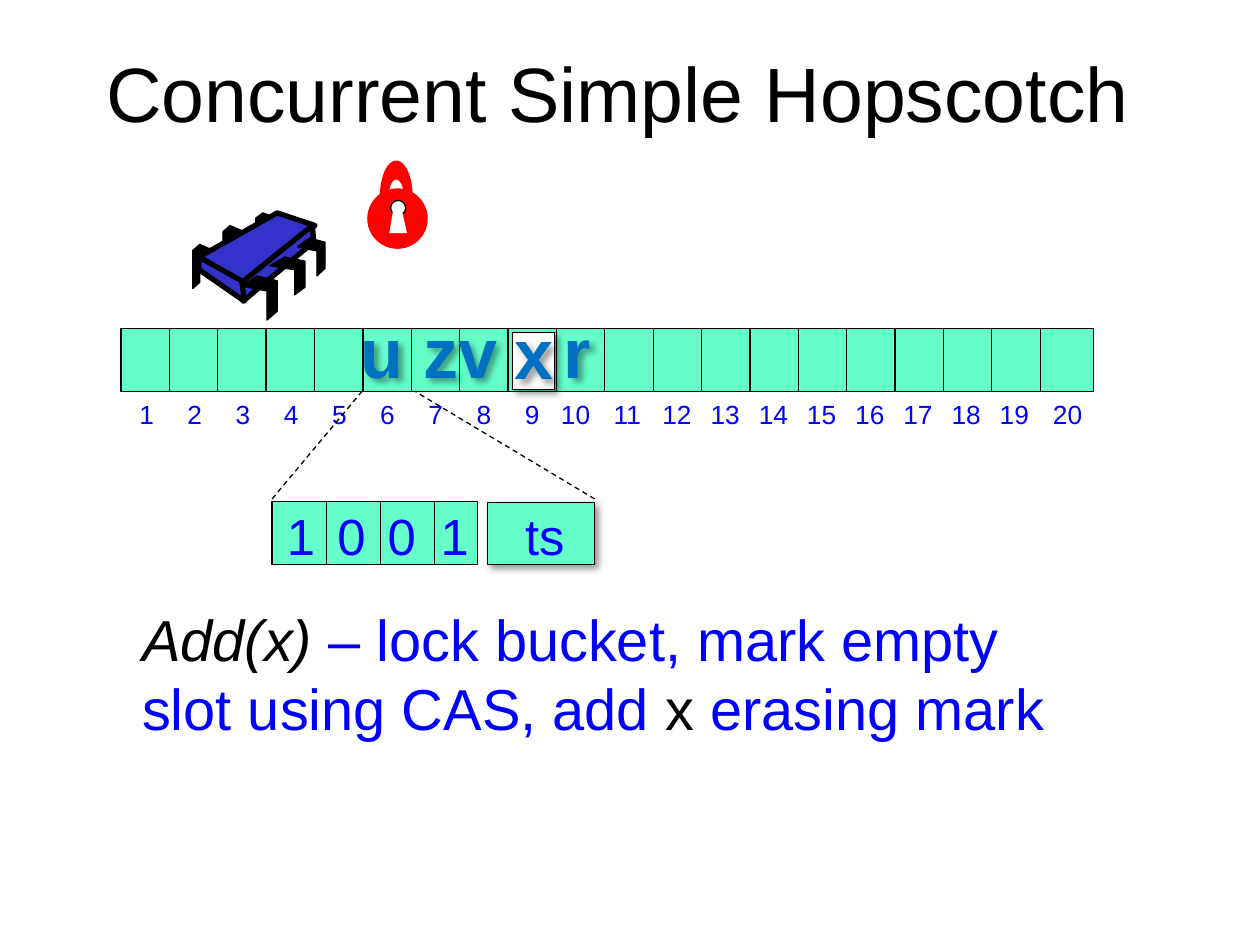
"""Build the Concurrent Simple Hopscotch slide."""
from dataclasses import dataclass
from math import cos, pi, sin

from lxml import etree
from pptx import Presentation
from pptx.dml.color import RGBColor
from pptx.enum.dml import MSO_LINE
from pptx.enum.shapes import MSO_CONNECTOR, MSO_SHAPE
from pptx.enum.text import MSO_ANCHOR, PP_ALIGN
from pptx.oxml.ns import qn
from pptx.util import Inches, Pt

LEFT, CENTER, RIGHT = PP_ALIGN.LEFT, PP_ALIGN.CENTER, PP_ALIGN.RIGHT
TOP, MIDDLE = MSO_ANCHOR.TOP, MSO_ANCHOR.MIDDLE
RECTANGLE, OVAL = MSO_SHAPE.RECTANGLE, MSO_SHAPE.OVAL
STRAIGHT, DASH = MSO_CONNECTOR.STRAIGHT, MSO_LINE.DASH

BLACK = RGBColor(0x00, 0x00, 0x00)
WHITE = RGBColor(0xFF, 0xFF, 0xFF)
RED = RGBColor(0xFF, 0x00, 0x00)
BLUE = RGBColor(0x00, 0x00, 0xFF)
ITEM_BLUE = RGBColor(0x00, 0x70, 0xC0)
CHIP_BLUE = RGBColor(0x33, 0x33, 0xCC)
MINT = RGBColor(0x66, 0xFF, 0xCC)

Point = tuple[float, float]


@dataclass(frozen=True)
class Box:
    left: float
    top: float
    width: float
    height: float

    def emu(self) -> list[int]:
        return [Inches(v) for v in (self.left, self.top, self.width, self.height)]

    def place(self, outline: list[Point]) -> list[Point]:
        return [(self.left + x * self.width, self.top + y * self.height)
                for x, y in outline]


@dataclass(frozen=True)
class Run:
    text: str
    size: float
    color: RGBColor
    bold: bool = False
    italic: bool = False


@dataclass(frozen=True)
class Item:
    letter: str
    box: Box
    wrap: bool = False


TABLE = Box(0.96, 2.61, 7.72, 0.5)
BUCKET_COUNT, BUCKET_PITCH = 20, 0.384
LABEL_PITCH = 0.3825
LABEL_NUDGE = {10: -0.04, 11: -0.02, 20: 0.04}

BITMAP = Box(2.16, 3.98, 1.63, 0.5)
BIT_PITCH = 0.43
BITS = [("1", 2.17), ("0", 2.57), ("0", 2.97), ("1", 3.39)]
TIMESTAMP = Box(3.87, 3.99, 0.85, 0.49)
ZOOM_LINES = [((2.16, 3.96), (2.87, 3.11)), ((4.72, 3.96), (3.3, 3.11))]

ITEMS = [
    Item("z", Box(3.26, 2.4, 0.46, 0.76)),
    Item("r", Box(4.14, 2.4, 0.65, 0.77), True),
    Item("v", Box(3.54, 2.4, 0.5, 0.76)),
    Item("u", Box(2.59, 2.4, 0.71, 0.77), True),
]
ADDED_SLOT = Box(4.07, 2.64, 0.33, 0.45)
ADDED_ITEM = Item("x", Box(3.78, 2.41, 0.71, 0.77), True)

EXPLANATION = [
    Run("Add(x) ", 33, BLACK, italic=True),
    Run("– lock bucket, mark empty slot using CAS, add ", 33, BLUE),
    Run("x ", 33, BLACK),
    Run("erasing mark", 33, BLUE),
]

LOCK_BODY = Box(2.92, 1.5, 0.47, 0.47)
KEYHOLE = Box(3.1, 1.59, 0.12, 0.12)
KEYHOLE_SLOT = [(3.09, 1.85), (3.12, 1.67), (3.19, 1.67), (3.23, 1.85)]
SHACKLE_CENTER = (3.145, 1.56)

BACK_LEG = [(1, 0.14), (0.33, 0), (0, 0.14), (0, 1), (0.33, 0.86), (0.33, 0.29), (1, 0.43)]
FRONT_LEG = [(0.43, 0), (0, 0.23), (0.71, 0.34), (0.71, 1), (1, 0.8), (1, 0.11)]
BACK_LEG_BOXES = [Box(1.53, 1.94, 0.17, 0.35), Box(1.77, 1.79, 0.17, 0.35),
                  Box(2.03, 1.69, 0.17, 0.3)]
FRONT_LEG_BOXES = [Box(1.92, 2.19, 0.28, 0.35), Box(2.14, 2.04, 0.28, 0.3),
                   Box(2.36, 1.89, 0.22, 0.3)]
CHIP_FACES = [
    [(2.2, 1.69), (1.58, 2.04), (1.93, 2.25), (2.5, 1.79)],
    [(2.48, 1.79), (1.92, 2.24), (1.93, 2.39), (2.49, 1.92)],
    [(1.58, 2.04), (1.58, 2.14), (1.94, 2.39), (1.92, 2.23)],
]


def add_shadow(shape) -> None:
    effects = shape._element.spPr.find(qn("a:effectLst"))
    shadow = etree.SubElement(effects, qn("a:outerShdw"), blurRad=str(Pt(4)),
                              dist=str(Pt(3)), dir="2700000", algn="tl", rotWithShape="0")
    color = etree.SubElement(shadow, qn("a:srgbClr"), val=str(BLACK))
    etree.SubElement(color, qn("a:alpha"), val="40000")


def paint(shape, fill: RGBColor, line: RGBColor | None, width: float = 0.75) -> None:
    shape.shadow.inherit = False
    shape.fill.solid()
    shape.fill.fore_color.rgb = fill
    if line is None:
        shape.line.fill.background()
    else:
        shape.line.color.rgb = line
        shape.line.width = Pt(width)


def draw_preset(slide, preset, box: Box, fill: RGBColor, line: RGBColor = BLACK,
                shadow: bool = False) -> None:
    shape = slide.shapes.add_shape(preset, *box.emu())
    paint(shape, fill, line)
    if shadow:
        add_shadow(shape)


def draw_outline(slide, points: list[Point], fill: RGBColor,
                 line: RGBColor | None = BLACK, width: float = 0.75) -> None:
    start, *rest = [(Inches(x), Inches(y)) for x, y in points]
    builder = slide.shapes.build_freeform(*start)
    builder.add_line_segments(rest, close=True)
    paint(builder.convert_to_shape(), fill, line, width)


def draw_line(slide, start: Point, end: Point, dashed: bool = False) -> None:
    line = slide.shapes.add_connector(STRAIGHT, *[Inches(v) for v in (*start, *end)])
    line.line.color.rgb = BLACK
    line.line.width = Pt(0.75)
    if dashed:
        line.line.dash_style = DASH
    etree.SubElement(line._element.spPr, qn("a:effectLst"))


def draw_text(slide, box: Box, runs: list[Run], align=RIGHT, anchor=TOP,
              wrap: bool = False, shadow: bool = False) -> None:
    shape = slide.shapes.add_textbox(*box.emu())
    frame = shape.text_frame
    for name, value in {"word_wrap": wrap, "vertical_anchor": anchor}.items():
        setattr(frame, name, value)
    paragraph = frame.paragraphs[0]
    paragraph.alignment = align
    for part in runs:
        run = paragraph.add_run()
        run.text = part.text
        formats = {"name": "Arial", "size": Pt(part.size),
                   "bold": part.bold, "italic": part.italic}
        for name, value in formats.items():
            setattr(run.font, name, value)
        run.font.color.rgb = part.color
    if shadow:
        shape.shadow.inherit = False
        add_shadow(shape)


def draw_item(slide, item: Item) -> None:
    draw_text(slide, item.box, [Run(item.letter, 40, ITEM_BLUE, bold=True)],
              wrap=item.wrap, shadow=True)


def draw_cells(slide, box: Box, count: int, pitch: float) -> None:
    draw_preset(slide, RECTANGLE, box, MINT)
    for index in range(1, count):
        x = box.left + index * pitch
        draw_line(slide, (x, box.top), (x, box.top + box.height))


def draw_bucket_labels(slide) -> None:
    for number in range(1, BUCKET_COUNT + 1):
        first_left, width = (0.99, 0.33) if number < 10 else (0.94, 0.44)
        left = first_left + (number - 1) * LABEL_PITCH + LABEL_NUDGE.get(number, 0)
        draw_text(slide, Box(left, 3.11, width, 0.35), [Run(str(number), 15, BLUE)])


def arch(radius_x: float, radius_y: float, steps: int = 24) -> list[Point]:
    x, y = SHACKLE_CENTER
    angles = [pi * step / steps for step in range(steps + 1)]
    return [(x - radius_x * cos(a), y - radius_y * sin(a)) for a in angles]


def draw_lock(slide) -> None:
    draw_preset(slide, OVAL, LOCK_BODY, RED, RED)
    draw_preset(slide, OVAL, KEYHOLE, WHITE)
    draw_outline(slide, KEYHOLE_SLOT, WHITE, None)
    draw_outline(slide, arch(0.065, 0.14) + arch(0.125, 0.28)[::-1], RED, RED)


def draw_chip(slide) -> None:
    for box in BACK_LEG_BOXES:
        draw_outline(slide, box.place(BACK_LEG), BLACK)
    for face in CHIP_FACES:
        draw_outline(slide, face, CHIP_BLUE, width=3)
    for box in FRONT_LEG_BOXES:
        draw_outline(slide, box.place(FRONT_LEG), BLACK)


def main() -> None:
    deck = Presentation()
    deck.slide_width, deck.slide_height = Inches(10), Inches(7.5)
    slide = deck.slides.add_slide(deck.slide_layouts[6])
    draw_text(slide, Box(0.53, 0.21, 8.75, 1.04),
              [Run("Concurrent Simple Hopscotch", 44, BLACK)], CENTER, MIDDLE, True)
    draw_cells(slide, TABLE, BUCKET_COUNT, BUCKET_PITCH)
    draw_bucket_labels(slide)
    draw_text(slide, Box(1.03, 4.74, 7.8, 1.81), EXPLANATION, LEFT, wrap=True)
    for start, end in ZOOM_LINES:
        draw_line(slide, start, end, dashed=True)
    draw_cells(slide, BITMAP, len(BITS), BIT_PITCH)
    for bit, left in BITS:
        draw_text(slide, Box(left, 3.96, 0.43, 0.59), [Run(bit, 29, BLUE)])
    for item in ITEMS:
        draw_item(slide, item)
    draw_preset(slide, RECTANGLE, TIMESTAMP, MINT, shadow=True)
    draw_text(slide, Box(4.06, 3.96, 0.52, 0.59), [Run("ts", 29, BLUE)])
    draw_preset(slide, RECTANGLE, ADDED_SLOT, WHITE, shadow=True)
    draw_item(slide, ADDED_ITEM)
    draw_lock(slide)
    draw_chip(slide)
    deck.save("out.pptx")


if __name__ == "__main__":
    main()
